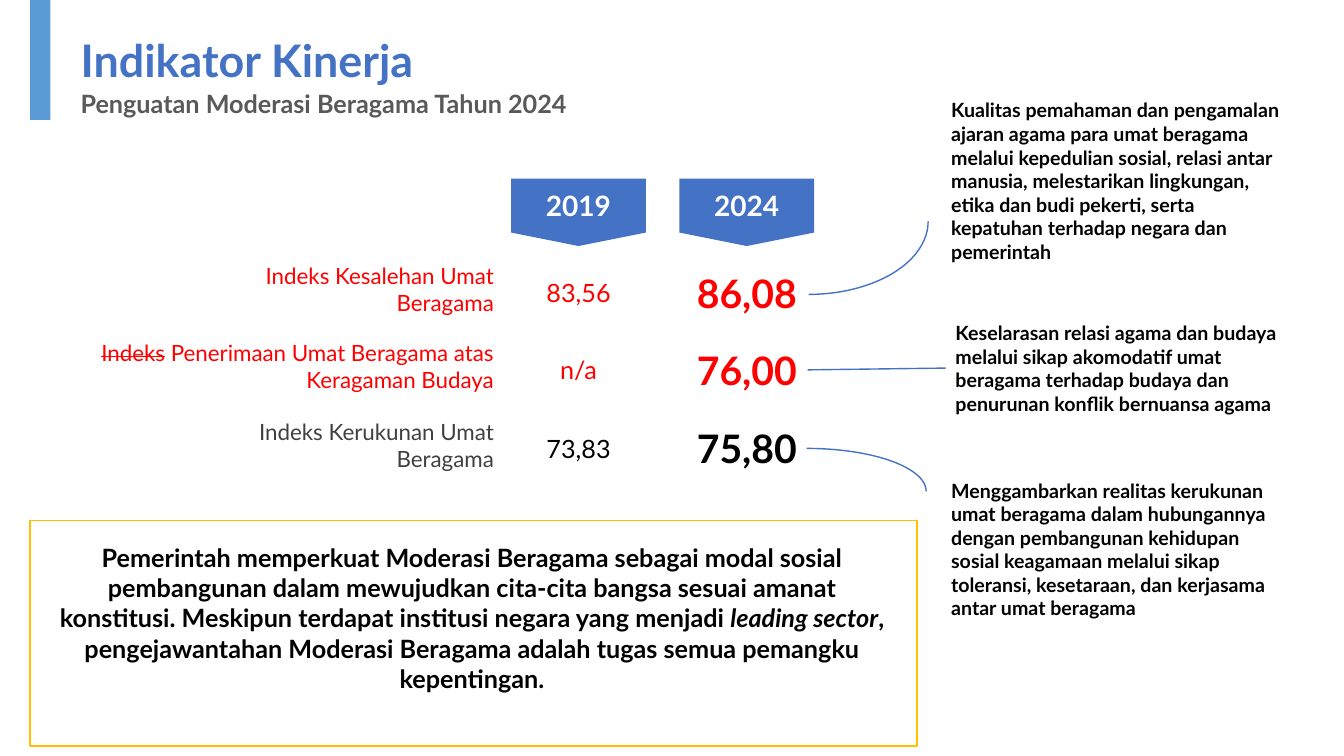
from pptx import Presentation
from pptx.dml.color import RGBColor
from pptx.enum.shapes import MSO_CONNECTOR, MSO_SHAPE
from pptx.enum.text import MSO_ANCHOR, MSO_AUTO_SIZE, PP_ALIGN
from pptx.oxml.ns import qn
from pptx.util import Cm, Pt
from lxml import etree

BLUE = RGBColor(0x44, 0x72, 0xC4)
SKY = RGBColor(0x5B, 0x9B, 0xD5)
GOLD = RGBColor(0xFF, 0xC0, 0x00)
RED = RGBColor(0xFF, 0x00, 0x00)
BLACK = RGBColor(0x00, 0x00, 0x00)
WHITE = RGBColor(0xFF, 0xFF, 0xFF)
DARK = RGBColor(0x40, 0x40, 0x40)
GRAY = RGBColor(0x59, 0x59, 0x59)

LEFT, CENTER, RIGHT = PP_ALIGN.LEFT, PP_ALIGN.CENTER, PP_ALIGN.RIGHT
TOP, MIDDLE = MSO_ANCHOR.TOP, MSO_ANCHOR.MIDDLE
RECT, ARC = MSO_SHAPE.RECTANGLE, MSO_SHAPE.ARC
FLAG = MSO_SHAPE.FLOWCHART_OFFPAGE_CONNECTOR
LINE = MSO_CONNECTOR.STRAIGHT
NO_FIT = MSO_AUTO_SIZE.NONE

YEARS = [(12.88, "2019"), (17.12, "2024")]
ROWS = [
    (6.48, 8.38, ["Indeks Kesalehan Umat Beragama"], RED, "83,56", "86,08", RED),
    (8.43, 11.56, ["Indeks", " Penerimaan Umat Beragama atas Keragaman Budaya"],
     RED, "n/a", "76,00", RED),
    (10.41, 8.97, ["Indeks Kerukunan Umat Beragama"], DARK, "73,83", "75,80", BLACK),
]
NOTES = [
    ((23.72, 2.03, 8.84, 5.05),
     "Kualitas pemahaman dan pengamalan ajaran agama para umat beragama melalui "
     "kepedulian sosial, relasi antar manusia, melestarikan lingkungan, etika dan "
     "budi pekerti, serta kepatuhan terhadap negara dan pemerintah"),
    ((23.83, 7.65, 8.74, 3.25),
     "Keselarasan relasi agama dan budaya melalui sikap akomodatif umat beragama "
     "terhadap budaya dan penurunan konflik bernuansa agama"),
    ((23.72, 11.61, 8.84, 4.45),
     "Menggambarkan realitas kerukunan umat beragama dalam hubungannya dengan "
     "pembangunan kehidupan sosial keagamaan melalui sikap toleransi, kesetaraan, "
     "dan kerjasama antar umat beragama"),
]
CLAIM = [
    "Pemerintah memperkuat Moderasi Beragama sebagai modal sosial pembangunan dalam "
    "mewujudkan cita-cita bangsa sesuai amanat konstitusi. Meskipun terdapat institusi "
    "negara yang menjadi ",
    "leading sector",
    ", pengejawantahan Moderasi Beragama adalah tugas semua pemangku kepentingan.",
]


class Deck:
    """Holds the text style and the current slide, and draws its elements."""

    face = "Lato"

    def __init__(self, slide):
        self.slide = slide

    def label(self, shape, parts, size, color, bold=False, align=LEFT, anchor=TOP):
        frame = shape.text_frame
        frame.word_wrap = True
        frame.auto_size = NO_FIT
        frame.vertical_anchor = anchor
        para = frame.paragraphs[0]
        para.alignment = align
        font = para.font
        font.name, font.size, font.bold = self.face, Pt(size), bold
        font.color.rgb = color
        for part in parts:
            para.add_run().text = part
        return para

    def title(self, box, text):
        shape = self.slide.shapes.title
        shape.left, shape.top, shape.width, shape.height = map(Cm, box)
        para = self.label(shape, [text], 32, BLUE, True)
        para.line_spacing = 0.9

    def text(self, box, parts, size, color, **style):
        shape = self.slide.shapes.add_textbox(*map(Cm, box))
        return shape, self.label(shape, parts, size, color, **style)

    def shape(self, kind, box, fill=None, line=None):
        shape = self.slide.shapes.add_shape(kind, *map(Cm, box))
        shape.shadow.inherit = False
        if fill is None:
            shape.fill.background()
        else:
            shape.fill.solid()
            shape.fill.fore_color.rgb = fill
        if line is None:
            shape.line.fill.background()
        else:
            shape.line.color.rgb = line
            shape.line.width = Pt(1)
        return shape

    def arc(self, box, turn, flip=False):
        shape = self.shape(ARC, box, line=BLUE)
        shape.rotation = turn
        if flip:
            shape._element.spPr.find(qn("a:xfrm")).set("flipV", "1")

    def link(self, ends, note):
        line = self.slide.shapes.add_connector(LINE, *map(Cm, ends))
        line.end_connect(note, 1)
        line.line.color.rgb = BLUE
        line.line.width = Pt(1)
        etree.SubElement(line._element.spPr, qn("a:effectLst"))


def main():
    deck = Presentation()
    deck.slide_width, deck.slide_height = Cm(33.87), Cm(19.05)
    page = Deck(deck.slides.add_slide(deck.slide_layouts[5]))

    page.title((1.78, 0.84, 11.02, 1.75), "Indikator Kinerja")
    page.text((1.78, 2.11, 18.21, 1.02), ["Penguatan Moderasi Beragama Tahun 2024"],
              18, GRAY, bold=True)
    page.shape(RECT, (0.76, -0.03, 0.51, 3.05), fill=SKY)

    for left, year in YEARS:
        flag = page.shape(FLAG, (left, 4.5, 3.4, 1.7), fill=BLUE)
        page.label(flag, [year], 20, WHITE, True, CENTER, MIDDLE)

    for top, width, name, tint, base, goal, color in ROWS:
        para = page.text((12.7 - width, top, width, 1.63), name, 16, tint,
                         align=RIGHT)[1]
        if len(name) > 1:
            para.runs[0]._r.get_or_add_rPr().set("strike", "sngStrike")
        page.text((13.36, top + 0.38, 2.44, 1.02), [base], 18, color, align=CENTER)
        page.text((17.12, top + 0.17, 3.4, 1.45), [goal], 28, color, bold=True,
                  align=CENTER)

    notes = [page.text(box, [text], 14, BLACK, bold=True, anchor=MIDDLE)[0]
             for box, text in NOTES]
    page.arc((18.54, 2.57, 3.68, 6.02), 90)
    page.link((20.35, 9.32, 23.83, 9.27), notes[1])
    page.arc((19.25, 9.37, 2.16, 6.02), 270, flip=True)

    page.shape(RECT, (0.76, 13.11, 22.35, 5.69), line=GOLD)
    claim = page.text((1.14, 13.54, 21.51, 4.11), CLAIM, 18, BLACK, bold=True,
                      align=CENTER)[1]
    claim.runs[1].font.italic = True

    deck.save("out.pptx")


if __name__ == "__main__":
    main()
